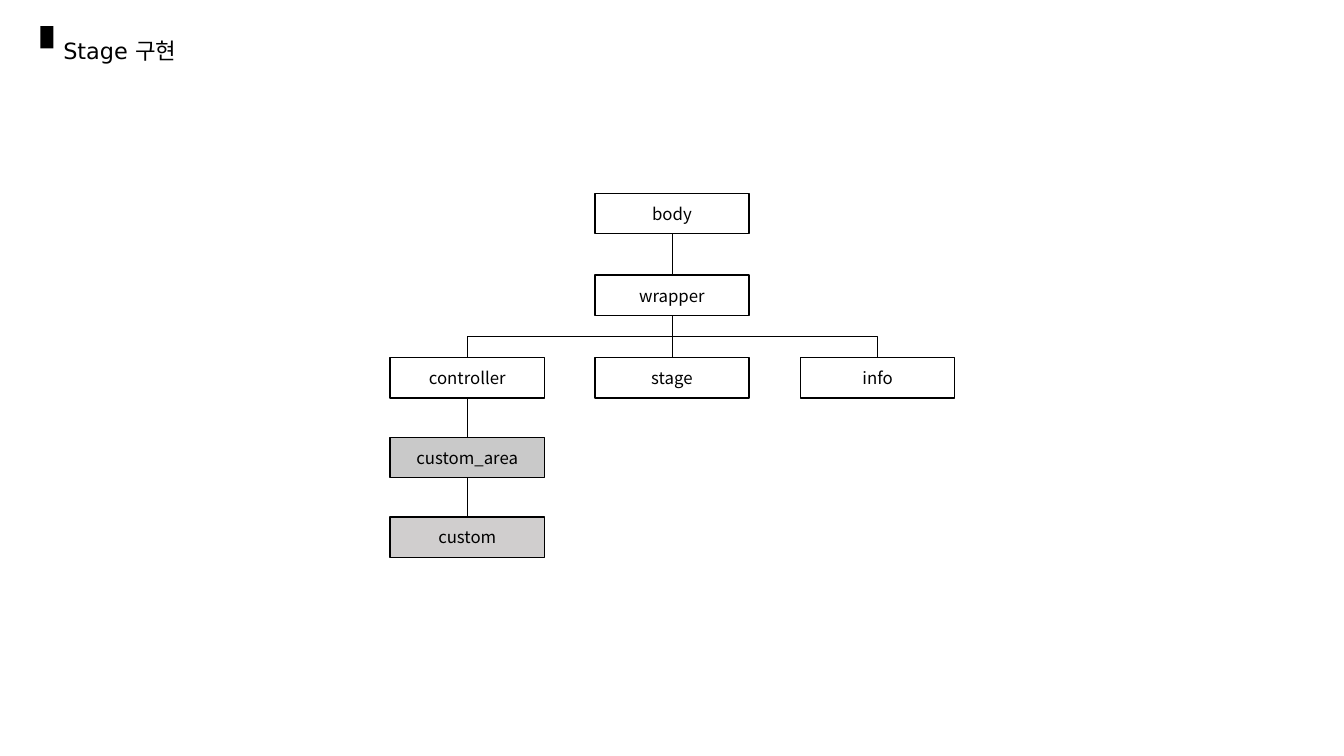
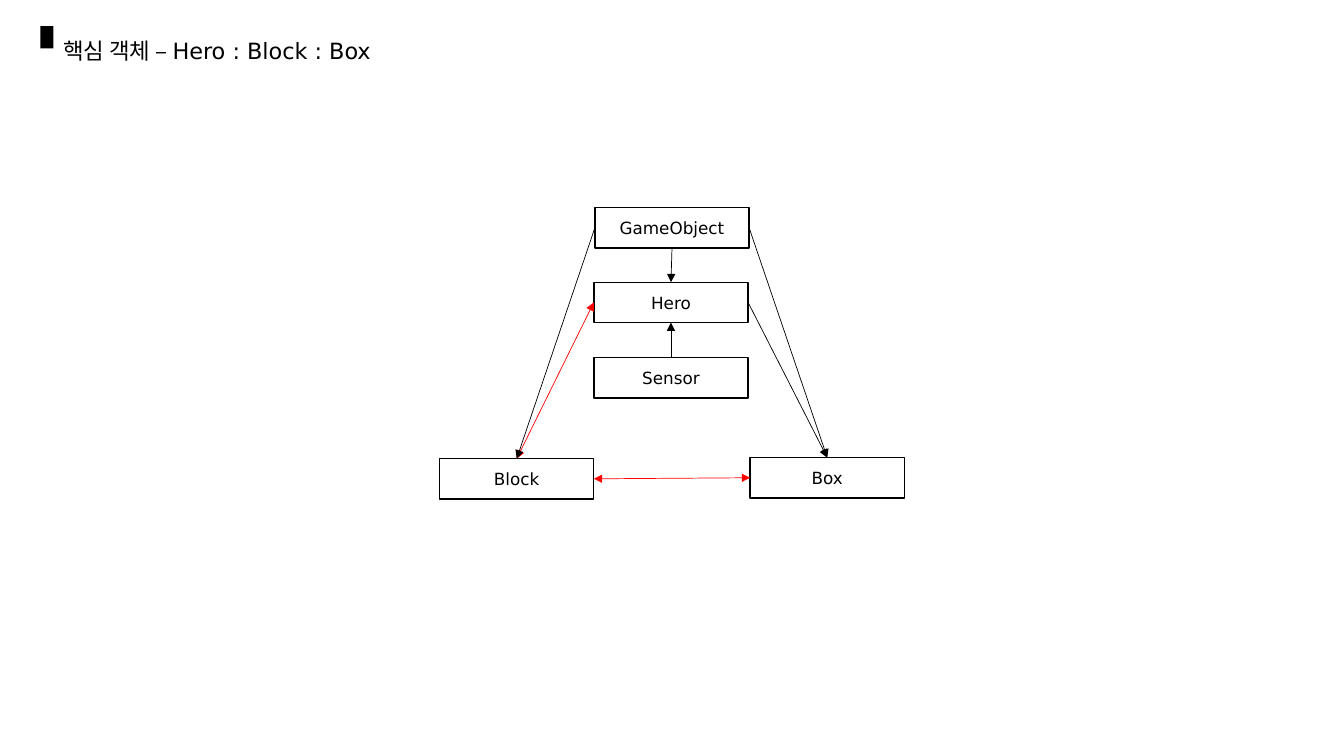
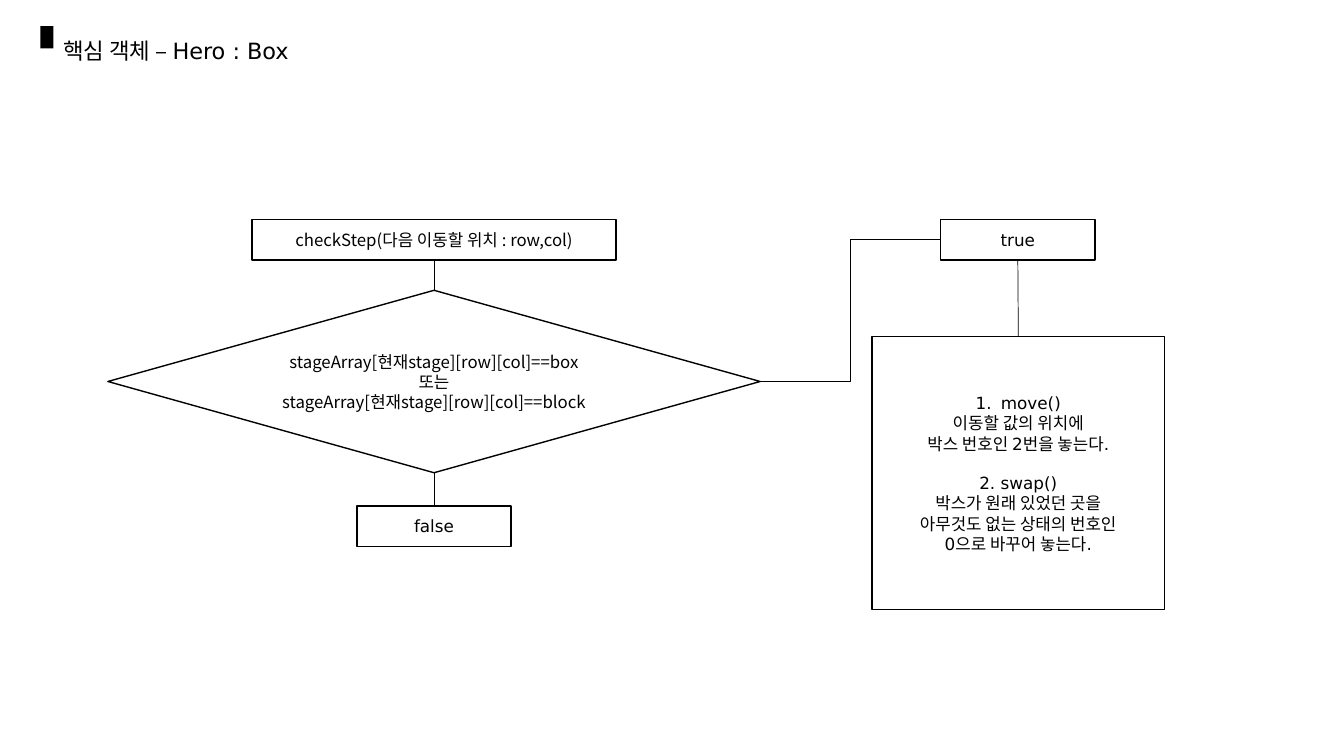
from dataclasses import dataclass

from pptx import Presentation
from pptx.dml.color import RGBColor as Rgb
from pptx.enum.shapes import MSO_CONNECTOR as Wire, MSO_SHAPE as Form
from pptx.enum.text import MSO_ANCHOR as Anchor, PP_ALIGN as Align
from pptx.oxml.ns import qn
from pptx.util import Emu, Pt

SCALE = 9144  # EMU in one px, 100 px to the inch
WIDE, HIGH = 153, 40  # size of a usual box
TOP, LEFT, LOW, RIGHT = range(4)  # sides of a box


def px(n):
    return Emu(round(n * SCALE))


@dataclass(frozen=True)
class Theme:
    black: str = "000000"
    white: str = "FFFFFF"
    red: str = "FF0000"
    gray: str = "C9C9C9"
    pale: str = "D0CECE"
    sans: str = "DejaVu Sans"
    noto: str = "Noto Sans CJK KR"
    head: int = 16
    body: int = 12
    edge: float = 1
    thin: float = 0.5


def write(frame, text, font, size, color, align=Align.CENTER, space=None,
          count=(), gaps=None):
    """Fill a frame, one paragraph per line; count lists numbered lines."""
    frame.word_wrap = True
    frame.vertical_anchor = Anchor.MIDDLE
    for i, line in enumerate(text.split("\n")):
        par = frame.add_paragraph() if i else frame.paragraphs[0]
        par.alignment = align
        if space:
            par.line_spacing = space
        if gaps and i in gaps:
            par.space_before = Pt(gaps[i])
        if i in count:
            props = par._p.get_or_add_pPr()
            props.set("marL", str(px(25)))
            props.set("indent", str(px(-25)))
            mark = props.makeelement(qn("a:buAutoNum"), {"type": "arabicPeriod"})
            props.append(mark)
        run = par.add_run()
        run.text = line
        run.font.size = Pt(size)
        run.font.color.rgb = Rgb.from_string(color)
        run.font.name = font
        props = run._r.get_or_add_rPr()
        east = props.makeelement(qn("a:ea"), {"typeface": Theme.noto})
        props.find(qn("a:latin")).addnext(east)


class Deck:
    def __init__(self, theme):
        self.theme = theme
        self.show = Presentation()
        self.show.slide_width, self.show.slide_height = px(1333), px(750)
        self.slide = None

    # New slide with its title and marker
    def page(self, title):
        look = self.theme
        self.slide = self.show.slides.add_slide(self.show.slide_layouts[6])
        area = self.slide.shapes.add_textbox(px(53), px(26), px(530), px(52))
        write(area.text_frame, title, font=look.sans, size=look.head,
              color=look.black, align=Align.LEFT, space=0.9)
        self.shape(40, 26, 13, 22, fill=look.black)

    # Plain filled shape
    def shape(self, x, y, w, h, fill, form=Form.RECTANGLE):
        item = self.slide.shapes.add_shape(form, px(x), px(y), px(w), px(h))
        item.shadow.inherit = False
        item.fill.solid()
        item.fill.fore_color.rgb = Rgb.from_string(fill)
        item.line.fill.background()
        return item

    # Outlined box with text
    def box(self, text, x, y, w=WIDE, h=HIGH, fill=None, font=None,
            form=Form.RECTANGLE, **style):
        look = self.theme
        item = self.shape(x, y, w, h, fill or look.white, form)
        item.line.color.rgb = Rgb.from_string(look.black)
        item.line.width = Pt(look.edge)
        write(item.text_frame, text, font=font or look.sans, size=look.body,
              color=look.black, **style)
        return item

    # Connector from one side of a box to a side of another
    def link(self, start, side, end, stop, color=None, ends="", kind=Wire.STRAIGHT):
        wire = self.slide.shapes.add_connector(
            kind, *self.spot(start, side), *self.spot(end, stop))
        wire.begin_connect(start, side)
        wire.end_connect(end, stop)
        wire.line.color.rgb = Rgb.from_string(color or self.theme.black)
        wire.line.width = Pt(self.theme.thin)
        props = wire._element.spPr
        line = wire.line._get_or_add_ln()
        for name in ends.split():
            line.append(line.makeelement(qn("a:" + name), {"type": "triangle"}))
        props.append(props.makeelement(qn("a:effectLst"), {}))
        return wire

    # Elbow that leaves a box downward: a sideways elbow, turned
    def drop(self, start, end):
        x1, y1 = self.spot(start, LOW)
        x2, y2 = self.spot(end, TOP)
        wire = self.link(start, LOW, end, TOP, kind=Wire.ELBOW)
        wide, high = y2 - y1, abs(x2 - x1)
        wire.left, wire.top = Emu((x1 + x2 - wide) // 2), Emu((y1 + y2 - high) // 2)
        wire.width, wire.height = Emu(wide), Emu(high)
        form = wire._element.spPr.find(qn("a:xfrm"))
        for name in ("flipH", "flipV"):
            form.attrib.pop(name, None)
        form.set("rot", str((90 if x2 < x1 else 270) * 60000))
        if x2 > x1:
            form.set("flipH", "1")

    @staticmethod
    def spot(item, side):
        x, y, w, h = item.left, item.top, item.width, item.height
        return [(x + w // 2, y), (x, y + h // 2),
                (x + w // 2, y + h), (x + w, y + h // 2)][side]


def stage(deck):
    look = deck.theme
    deck.page("Stage 구현")
    # Boxes of the tree
    nodes = {}
    for name, x, y, fill in (
            ("body", 590, 192, look.white),
            ("wrapper", 590, 273, look.white),
            ("controller", 387, 355, look.white),
            ("stage", 590, 355, look.white),
            ("info", 794, 355, look.white),
            ("custom_area", 387, 434, look.gray),
            ("custom", 387, 513, look.pale)):
        nodes[name] = deck.box(name, x, y, fill=fill, font=look.noto)
    # Branches
    for top, low in (("body", "wrapper"), ("wrapper", "stage"),
                     ("controller", "custom_area"), ("custom_area", "custom")):
        deck.link(nodes[top], LOW, nodes[low], TOP)
    for low in ("controller", "info"):
        deck.drop(nodes["wrapper"], nodes[low])


def core(deck):
    red = deck.theme.red
    deck.page("핵심 객체 – Hero : Block : Box")
    # Game objects
    hero = deck.box("Hero", 589, 280)
    sensor = deck.box("Sensor", 589, 355)
    crate = deck.box("Box", 744, 454)
    block = deck.box("Block", 436, 455)
    base = deck.box("GameObject", 590, 206)
    # Two-way links
    both = "headEnd tailEnd"
    deck.link(block, RIGHT, crate, LEFT, color=red, ends=both)
    deck.link(hero, LEFT, block, TOP, color=red, ends=both)
    # One-way links
    for start, side, end, stop in (
            (hero, RIGHT, crate, TOP), (sensor, TOP, hero, LOW),
            (base, LOW, hero, TOP), (base, LEFT, block, TOP),
            (base, RIGHT, crate, TOP)):
        deck.link(start, side, end, stop, ends="tailEnd")


def step(deck):
    noto = deck.theme.noto
    deck.page("핵심 객체 – Hero : Box")
    # Check and its outcomes
    test = deck.box(
        "stageArray[현재stage][row][col]==box\n또는\n"
        "stageArray[현재stage][row][col]==block",
        107, 288, 647, 181, font=noto, form=Form.FLOWCHART_DECISION)
    call = deck.box("checkStep(다음 이동할 위치 : row,col)", 250, 218, 361, font=noto)
    yes = deck.box("true", 933, 218)
    no = deck.box("false", 354, 502)
    note = deck.box(
        "move()\n이동할 값의 위치에\n박스 번호인 2번을 놓는다.\n"
        "2. swap()\n박스가 원래 있었던 곳을\n아무것도 없는 상태의 번호인\n"
        "0으로 바꾸어 놓는다.",
        865, 334, 290, 271, count=(0,), gaps={3: 14})
    # Flow
    for top, low in ((call, test), (test, no), (yes, note)):
        deck.link(top, LOW, low, TOP)
    deck.link(test, RIGHT, yes, LEFT, kind=Wire.ELBOW)


def main():
    deck = Deck(Theme())
    for build in (stage, core, step):
        build(deck)
    deck.show.save("out.pptx")


if __name__ == "__main__":
    main()
